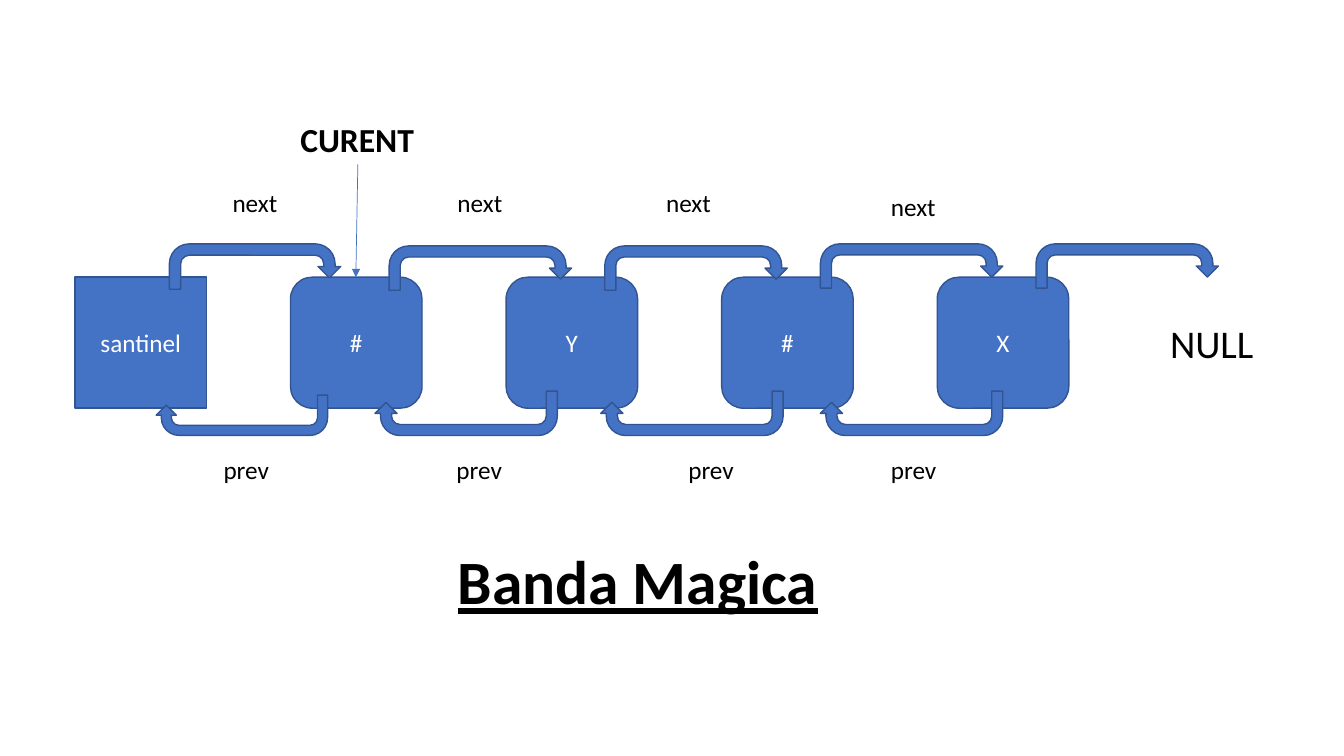
from pptx import Presentation
from pptx.dml.color import RGBColor
from pptx.enum.shapes import MSO_CONNECTOR as Link, MSO_SHAPE as Form
from pptx.enum.text import MSO_ANCHOR as Anchor, PP_ALIGN as Align
from pptx.oxml.ns import qn
from pptx.util import Pt
from lxml.etree import SubElement

BLUE = RGBColor(0x44, 0x72, 0xC4)
EDGE = RGBColor(0x32, 0x54, 0x91)
WHITE = RGBColor(255, 255, 255)
BLACK = RGBColor(0, 0, 0)


class Board:
    """Draw the parts of a linked list on one slide, in points."""

    font = "Calibri"

    def __init__(self, slide):
        self.shapes = slide.shapes

    def text(self, frame, text, size, color=BLACK, bold=False, line=False,
             align=Align.LEFT, anchor=Anchor.TOP):
        frame.word_wrap = False
        frame.vertical_anchor = anchor
        para = frame.paragraphs[0]
        para.alignment = align
        run = para.add_run()
        run.text = text
        font = run.font
        font.name, font.size = self.font, Pt(size)
        font.bold, font.underline = bold, line
        font.color.rgb = color

    def shape(self, form, x, y, w, h):
        shape = self.shapes.add_shape(form, Pt(x), Pt(y), Pt(w), Pt(h))
        shape.shadow.inherit = False
        shape.fill.solid()
        shape.fill.fore_color.rgb = BLUE
        shape.line.color.rgb = EDGE
        shape.line.width = Pt(1)
        return shape

    def node(self, form, x, text):
        box = self.shape(form, x, 198, 94, 93.6)
        self.text(box.text_frame, text, 18, WHITE,
                  align=Align.CENTER, anchor=Anchor.MIDDLE)

    def turn(self, x, y, w, h, angle=0):
        self.shape(Form.U_TURN_ARROW, x, y, w, h).rotation = angle

    def label(self, text, x, y, w, h, size=18, bold=False):
        box = self.shapes.add_textbox(Pt(x), Pt(y), Pt(w), Pt(h))
        self.text(box.text_frame, text, size, bold=bold)

    def arrow(self, x1, y1, x2, y2):
        link = self.shapes.add_connector(
            Link.STRAIGHT, Pt(x1), Pt(y1), Pt(x2), Pt(y2))
        link.line.color.rgb = BLUE
        link.line.width = Pt(0.5)
        props = link._element.spPr
        SubElement(props.find(qn("a:ln")), qn("a:tailEnd"), type="triangle")
        SubElement(props, qn("a:effectLst"))

    def title(self, text, x, y, w, h):
        head = self.shapes.title
        head.left, head.top, head.width, head.height = Pt(x), Pt(y), Pt(w), Pt(h)
        self.text(head.text_frame, text, 44, bold=True, line=True)


def main():
    deck = Presentation()
    deck.slide_width, deck.slide_height = Pt(960), Pt(540)
    board = Board(deck.slides.add_slide(deck.slide_layouts[5]))
    step = 154

    for i, text in enumerate(["santinel", "#", "Y", "#", "X"]):
        form = Form.ROUNDED_RECTANGLE if i else Form.RECTANGLE
        board.node(form, 53.5 + step * i, text)

    board.turn(121, 174.2, 122.4, 32.4)
    for i, y in enumerate([175.7, 175.7, 174.2, 174.2]):
        board.turn(278 + step * i, y, 130.3, 31.7)
    board.turn(111.6, 282.2, 122.4, 28.8, 180)
    for x in [267.8, 429.1, 586]:
        board.turn(x, 279.4, 130.3, 31.7, 180)

    for x, y in [(159, 130.3), (319.7, 130.3), (468.7, 130.3), (629.3, 133.2)]:
        board.label("next", x, y, 46.8, 28.8)
    for x in [152.6, 319, 484.6, 629.3]:
        board.label("prev", x, 321, 47.5, 28.8)
    board.label("NULL", 828.7, 224.6, 74.9, 41, 28)
    board.label("CURENT", 207.4, 81.4, 96.5, 36, 24, True)
    board.arrow(255.6, 117.4, 254.2, 198)
    board.title("Banda Magica", 319.7, 384.5, 274.3, 60.5)
    deck.save("out.pptx")


if __name__ == "__main__":
    main()
